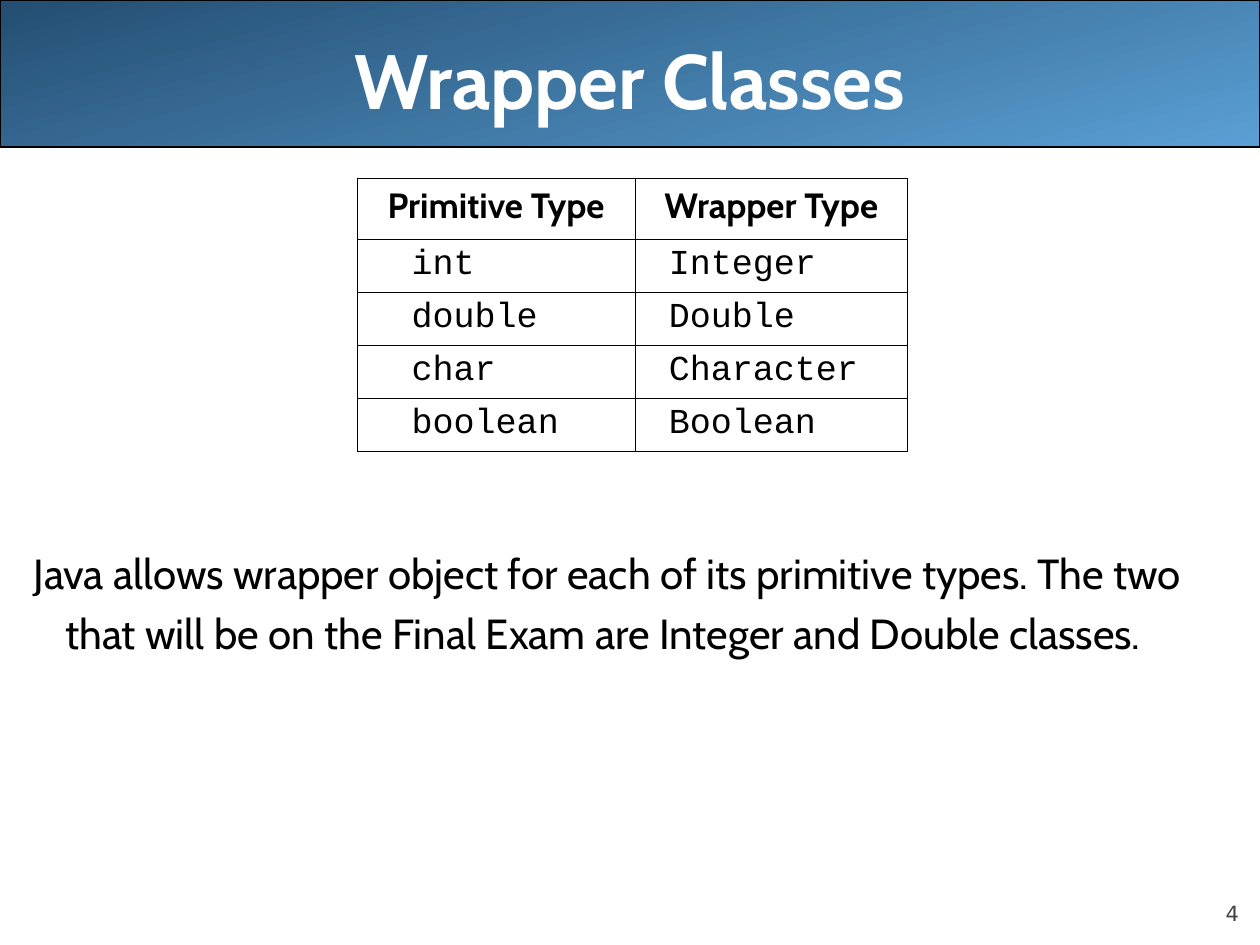
import pptx
import pptx.dml.color
import pptx.enum.shapes
import pptx.enum.text
import pptx.oxml
import pptx.oxml.ns
import pptx.util

Pt = pptx.util.Pt
RGBColor = pptx.dml.color.RGBColor
ALIGN = pptx.enum.text.PP_ALIGN
ANCHOR = pptx.enum.text.MSO_ANCHOR

BLACK = RGBColor(0x00, 0x00, 0x00)
WHITE = RGBColor(0xFF, 0xFF, 0xFF)
GRAY = RGBColor(0x42, 0x42, 0x42)
LIGHT_BLUE = RGBColor(0x5A, 0x9F, 0xD4)
DARK_BLUE = RGBColor(0x24, 0x4E, 0x72)

TITLE_FONT = {"name": "Cabin", "size": Pt(44), "bold": True}
BODY_FONT = {"name": "Cabin", "size": Pt(24)}
HEADER_FONT = {"name": "Cabin", "size": Pt(20), "bold": True}
CODE_FONT = {"name": "Courier New", "size": Pt(20), "bold": False}
NUMBER_FONT = {"name": "DejaVu Sans", "size": Pt(12)}

TYPE_ROWS = [
    ("Primitive Type", "Wrapper Type"),
    ("int", "Integer"),
    ("double", "Double"),
    ("char", "Character"),
    ("boolean", "Boolean"),
]
COLUMN_WIDTHS = (159, 155.5)
CODE_INDENTS = (24, 12)
HEADER_HEIGHT, ROW_HEIGHT = 34.7, 30.3
BORDER_WIDTH = Pt(0.45)


def set_attributes(target, values):
    for name, value in values.items():
        setattr(target, name, value)


def write_text(frame, text, font, color, align=ALIGN.LEFT):
    frame.text = text
    paragraph = frame.paragraphs[0]
    paragraph.alignment = align
    set_attributes(paragraph.runs[0].font, font)
    paragraph.runs[0].font.color.rgb = color
    return paragraph


def set_indent(paragraph, left, first_line=0):
    properties = paragraph._p.get_or_add_pPr()
    properties.set("marL", str(Pt(left)))
    properties.set("indent", str(Pt(first_line)))


def add_text_box(slide, left, top, width, height):
    frame = slide.shapes.add_textbox(Pt(left), Pt(top), Pt(width), Pt(height)).text_frame
    frame.word_wrap = True
    return frame


def add_title(slide, text):
    title = slide.shapes.title
    set_attributes(title, {"left": Pt(36), "top": Pt(0), "width": Pt(648), "height": Pt(90)})
    title.text_frame.vertical_anchor = ANCHOR.MIDDLE
    write_text(title.text_frame, text, TITLE_FONT, WHITE, ALIGN.CENTER)


def add_title_band(slide):
    """Add the gradient band and place it behind the title."""
    band = slide.shapes.add_shape(
        pptx.enum.shapes.MSO_SHAPE.ROUNDED_RECTANGLE, 0, 0, Pt(720), Pt(84))
    band.adjustments[0] = 0
    band.shadow.inherit = False
    band.fill.gradient()
    band.fill.gradient_angle = 105
    for stop, color in zip(band.fill.gradient_stops, (LIGHT_BLUE, DARK_BLUE)):
        stop.color.rgb = color
    band.line.color.rgb = BLACK
    band.line.width = Pt(0.75)
    slide.shapes.title.element.addprevious(band.element)


def set_borders(cell):
    properties = cell._tc.get_or_add_tcPr()
    for position, side in enumerate(("lnL", "lnR", "lnT", "lnB")):
        border = pptx.oxml.parse_xml(
            f'<a:{side} {pptx.oxml.ns.nsdecls("a")} w="{BORDER_WIDTH}">'
            f'<a:solidFill><a:srgbClr val="{BLACK}"/></a:solidFill></a:{side}>')
        properties.insert(position, border)


def add_type_table(slide):
    height = HEADER_HEIGHT + ROW_HEIGHT * (len(TYPE_ROWS) - 1)
    table = slide.shapes.add_table(
        len(TYPE_ROWS), len(COLUMN_WIDTHS),
        Pt(204), Pt(102), Pt(sum(COLUMN_WIDTHS)), Pt(height)).table
    set_attributes(table, {"first_row": False, "horz_banding": False})
    for column, width in zip(table.columns, COLUMN_WIDTHS):
        column.width = Pt(width)
    for row_index, names in enumerate(TYPE_ROWS):
        is_header = row_index == 0
        table.rows[row_index].height = Pt(HEADER_HEIGHT if is_header else ROW_HEIGHT)
        for column_index, name in enumerate(names):
            cell = table.cell(row_index, column_index)
            cell.fill.background()
            set_borders(cell)
            if is_header:
                write_text(cell.text_frame, name, HEADER_FONT, BLACK, ALIGN.CENTER)
            else:
                entry = write_text(cell.text_frame, name, CODE_FONT, BLACK)
                set_indent(entry, CODE_INDENTS[column_index])


def add_explanation(slide, text):
    frame = add_text_box(slide, 12.25, 303.3, 707.75, 80)
    paragraph = write_text(frame, text, BODY_FONT, BLACK)
    paragraph.line_spacing = 1.2
    set_indent(paragraph, 18, -18)


def add_slide_number(slide, number):
    frame = add_text_box(slide, 648, 500.4, 60, 28.8)
    set_attributes(frame, {
        "margin_left": 0, "margin_top": 0, "margin_right": 0, "margin_bottom": 0,
        "vertical_anchor": ANCHOR.BOTTOM})
    write_text(frame, number, NUMBER_FONT, GRAY, ALIGN.RIGHT)


def main():
    presentation = pptx.Presentation()
    set_attributes(presentation, {"slide_width": Pt(720), "slide_height": Pt(540)})
    slide = presentation.slides.add_slide(presentation.slide_layouts[5])
    add_title(slide, "Wrapper Classes")
    add_title_band(slide)
    add_type_table(slide)
    add_explanation(slide, "Java allows wrapper object for each of its primitive types. "
                           "The two that will be on the Final Exam are Integer and Double classes.")
    add_slide_number(slide, "4")
    presentation.save("out.pptx")


if __name__ == "__main__":
    main()
